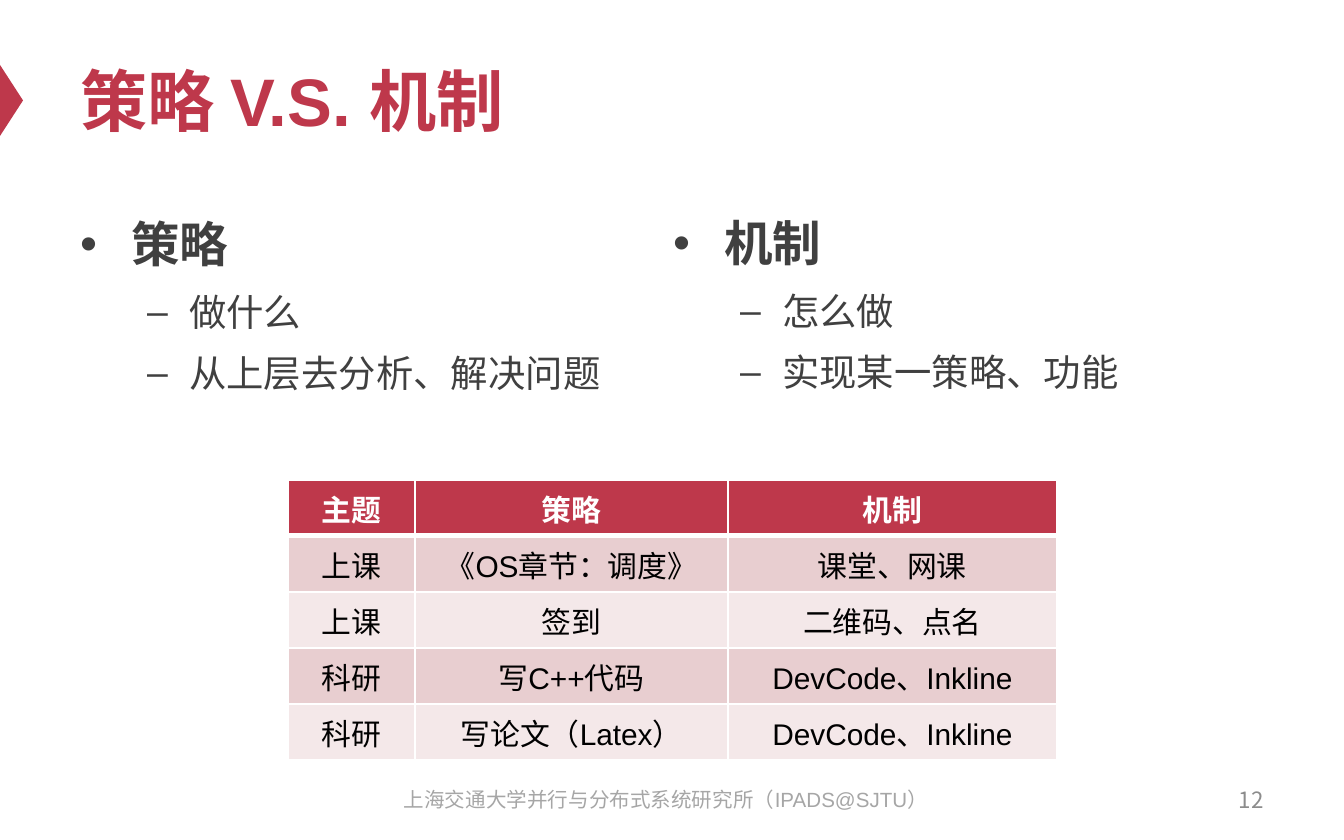
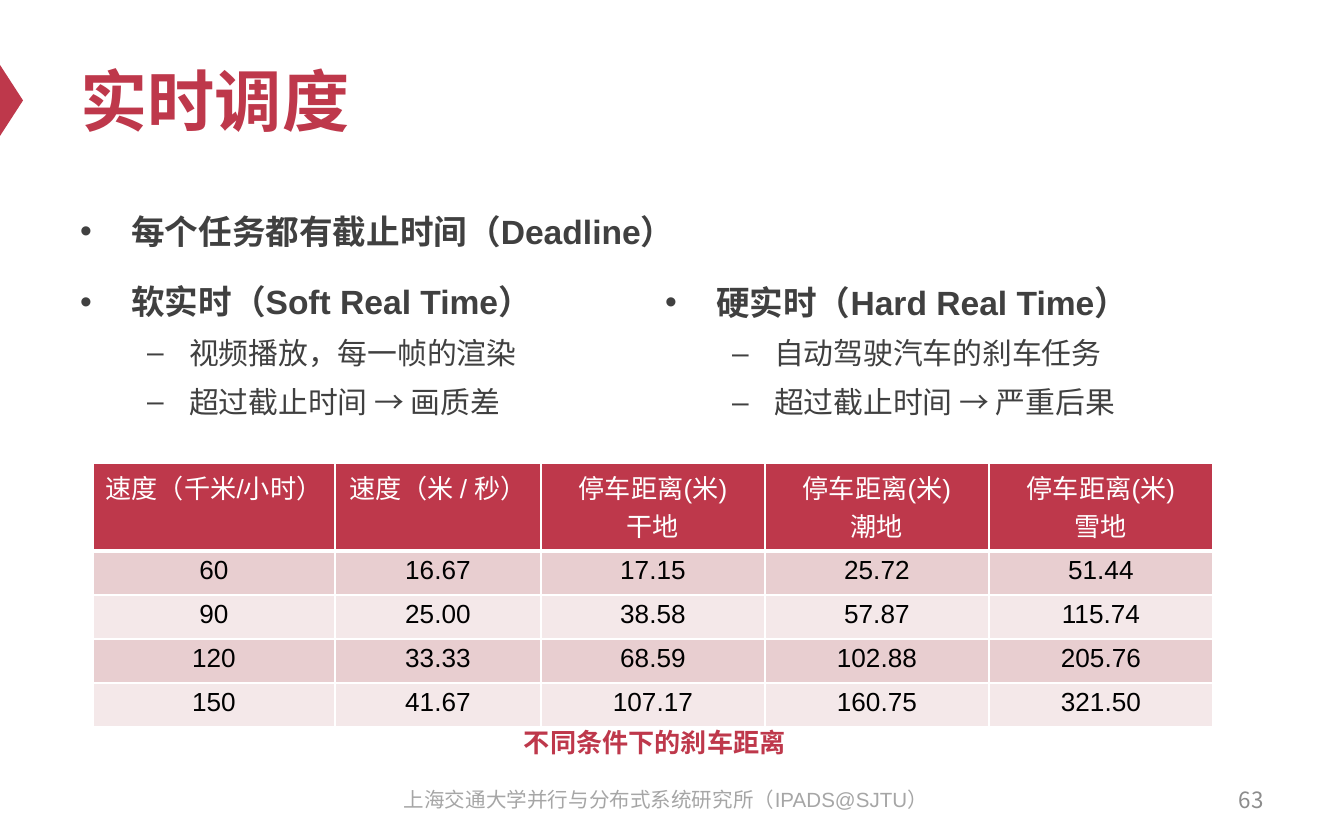
from lxml.etree import SubElement
from pptx import Presentation
from pptx.dml.color import RGBColor
from pptx.enum.shapes import MSO_SHAPE
from pptx.enum.text import MSO_ANCHOR, PP_ALIGN
from pptx.oxml.ns import qn
from pptx.util import Pt

COLORS = {"crimson": "BE384B", "ink": "404040", "number": "8C8C8C", "footer": "A6A6A6",
          "white": "FFFFFF", "black": "000000", "odd": "E8CED0", "even": "F4E8E9"}
LATIN, HAN = "Arial", "Noto Sans CJK SC"
FOOTER = "上海交通大学并行与分布式系统研究所（IPADS@SJTU）"

SLIDES = [
    {"title": "策略 V.S. 机制", "number": "12", "sizes": (26, 20),
     "outlines": [
         ((67, 196, 646, 554), [(0, "策略"), (1, "做什么"), (1, "从上层去分析、解决问题")]),
         ((660, 195, 684, 554), [(0, "机制"), (1, "怎么做"), (1, "实现某一策略、功能")]),
     ],
     "table": {
         "corner": (288, 480), "columns": (127, 313, 329), "header_height": 56,
         "row_height": 56, "size": 16, "bold_header": True, "margins": (13, 7),
         "rows": [
             ("主题", "策略", "机制"),
             ("上课", "《OS章节：调度》", "课堂、网课"),
             ("上课", "签到", "二维码、点名"),
             ("科研", "写C++代码", "DevCode、Inkline"),
             ("科研", "写论文（Latex）", "DevCode、Inkline"),
         ]}},
    {"title": "实时调度", "number": "63", "sizes": (18, 16),
     "outlines": [
         ((67, 196, 827, 302), [(0, "每个任务都有截止时间（Deadline）"),
                                (0, "软实时（Soft Real Time）"),
                                (1, "视频播放，每一帧的渲染"),
                                (1, "超过截止时间 → 画质差")]),
         ((652, 267, 625, 242), [(0, "硬实时（Hard Real Time）"),
                                 (1, "自动驾驶汽车的刹车任务"),
                                 (1, "超过截止时间 → 严重后果")]),
     ],
     "table": {
         "corner": (93, 463), "columns": (242, 206, 224, 224, 224), "header_height": 88,
         "row_height": 44, "size": 14, "bold_header": False, "margins": (12, 5),
         "rows": [
             ("速度（千米/小时）", "速度（米 / 秒）",
              "停车距离(米)\n干地", "停车距离(米)\n潮地", "停车距离(米)\n雪地"),
             ("60", "16.67", "17.15", "25.72", "51.44"),
             ("90", "25.00", "38.58", "57.87", "115.74"),
             ("120", "33.33", "68.59", "102.88", "205.76"),
             ("150", "41.67", "107.17", "160.75", "321.50"),
         ]},
     "caption": "不同条件下的刹车距离"},
]

LEVELS = [{"bullet": "•", "margin": 51, "indent": -51},
          {"bullet": "–", "margin": 109, "indent": -42}]


def px(length):
    return round(length * 914400 / 134.4)


def box(*lengths):
    return [px(length) for length in lengths]


def rgb(name):
    return RGBColor.from_string(COLORS[name])


def style(paragraph, size, color, bold=False, align=PP_ALIGN.LEFT, latin=LATIN):
    paragraph.alignment = align
    for run in paragraph.runs:
        font = run.font
        font.size, font.bold, font.name = Pt(size), bold, latin
        font.color.rgb = rgb(color)
        SubElement(font._element, qn("a:ea"), typeface=HAN)


def add_label(slide, place, text, size, color, wrap=True, anchor=MSO_ANCHOR.TOP, **look):
    frame = slide.shapes.add_textbox(*box(*place)).text_frame
    frame.word_wrap, frame.vertical_anchor = wrap, anchor
    frame.text = text
    style(frame.paragraphs[0], size, color, **look)


def add_outline(slide, place, entries, sizes):
    frame = slide.shapes.add_textbox(*box(*place)).text_frame
    frame.word_wrap = True
    for index, (level, text) in enumerate(entries):
        paragraph = frame.add_paragraph() if index else frame.paragraphs[0]
        paragraph.text, paragraph.level = text, level
        paragraph.line_spacing = 1.2
        rule = LEVELS[level]
        properties = paragraph._p.get_or_add_pPr()
        properties.set("marL", str(px(rule["margin"])))
        properties.set("indent", str(px(rule["indent"])))
        if index:
            before = SubElement(properties, qn("a:spcBef"))
            if level:
                SubElement(before, qn("a:spcPct"), val="20000")
            else:
                SubElement(before, qn("a:spcPts"), val="1200")
        SubElement(properties, qn("a:buFont"), typeface=LATIN)
        SubElement(properties, qn("a:buChar"), char=rule["bullet"])
        style(paragraph, sizes[level], "ink", bold=level == 0)


def add_borders(cell, header):
    properties = cell._tc.get_or_add_tcPr()
    for side in ("lnL", "lnR", "lnT", "lnB"):
        width = 3 if header and side == "lnB" else 1
        line = SubElement(properties, qn(f"a:{side}"), w=str(Pt(width)))
        fill = SubElement(line, qn("a:solidFill"))
        SubElement(fill, qn("a:srgbClr"), val=COLORS["white"])


def add_grid(slide, corner, columns, header_height, row_height, size, bold_header,
             margins, rows):
    heights = [header_height] + [row_height] * (len(rows) - 1)
    table = slide.shapes.add_table(
        len(rows), len(columns), *box(*corner, sum(columns), sum(heights))).table
    for column, width in zip(table.columns, columns):
        column.width = px(width)
    for r, values in enumerate(rows):
        table.rows[r].height = px(heights[r])
        header = r == 0
        band = "crimson" if header else "odd" if r % 2 else "even"
        for c, value in enumerate(values):
            cell = table.cell(r, c)
            cell.margin_left = cell.margin_right = px(margins[0])
            cell.margin_top = cell.margin_bottom = px(margins[1])
            add_borders(cell, header)
            cell.fill.solid()
            cell.fill.fore_color.rgb = rgb(band)
            cell.text_frame.text = value
            for paragraph in cell.text_frame.paragraphs:
                style(paragraph, size, "white" if header else "black",
                      bold=header and bold_header, align=PP_ALIGN.CENTER)


def add_frame(slide, title, number):
    marker = slide.shapes.add_shape(MSO_SHAPE.ISOSCELES_TRIANGLE, *box(-24, 89, 71, 23))
    marker.rotation = 90
    marker.shadow.inherit = False
    marker.fill.solid()
    marker.fill.fore_color.rgb = rgb("crimson")
    marker.line.fill.background()

    heading = slide.shapes.title
    heading.left, heading.top, heading.width, heading.height = box(67, 34, 1210, 132)
    heading.text_frame.text = title
    heading.text_frame.vertical_anchor = MSO_ANCHOR.MIDDLE
    style(heading.text_frame.paragraphs[0], 36, "crimson", bold=True)

    add_label(slide, (964, 778, 313, 44), number, 12, "number",
              anchor=MSO_ANCHOR.MIDDLE, align=PP_ALIGN.RIGHT, latin=HAN)
    add_label(slide, (375, 780, 582, 44), FOOTER, 11, "footer", align=PP_ALIGN.CENTER)


def main():
    deck = Presentation()
    deck.slide_width, deck.slide_height = box(1344, 840)
    for content in SLIDES:
        slide = deck.slides.add_slide(deck.slide_layouts[5])
        add_frame(slide, content["title"], content["number"])
        for place, entries in content["outlines"]:
            add_outline(slide, place, entries, content["sizes"])
        add_grid(slide, **content["table"])
        if "caption" in content:
            add_label(slide, (507, 720, 296, 46), content["caption"], 14, "crimson",
                      wrap=False, bold=True, align=PP_ALIGN.CENTER)
    deck.save("out.pptx")


if __name__ == "__main__":
    main()
